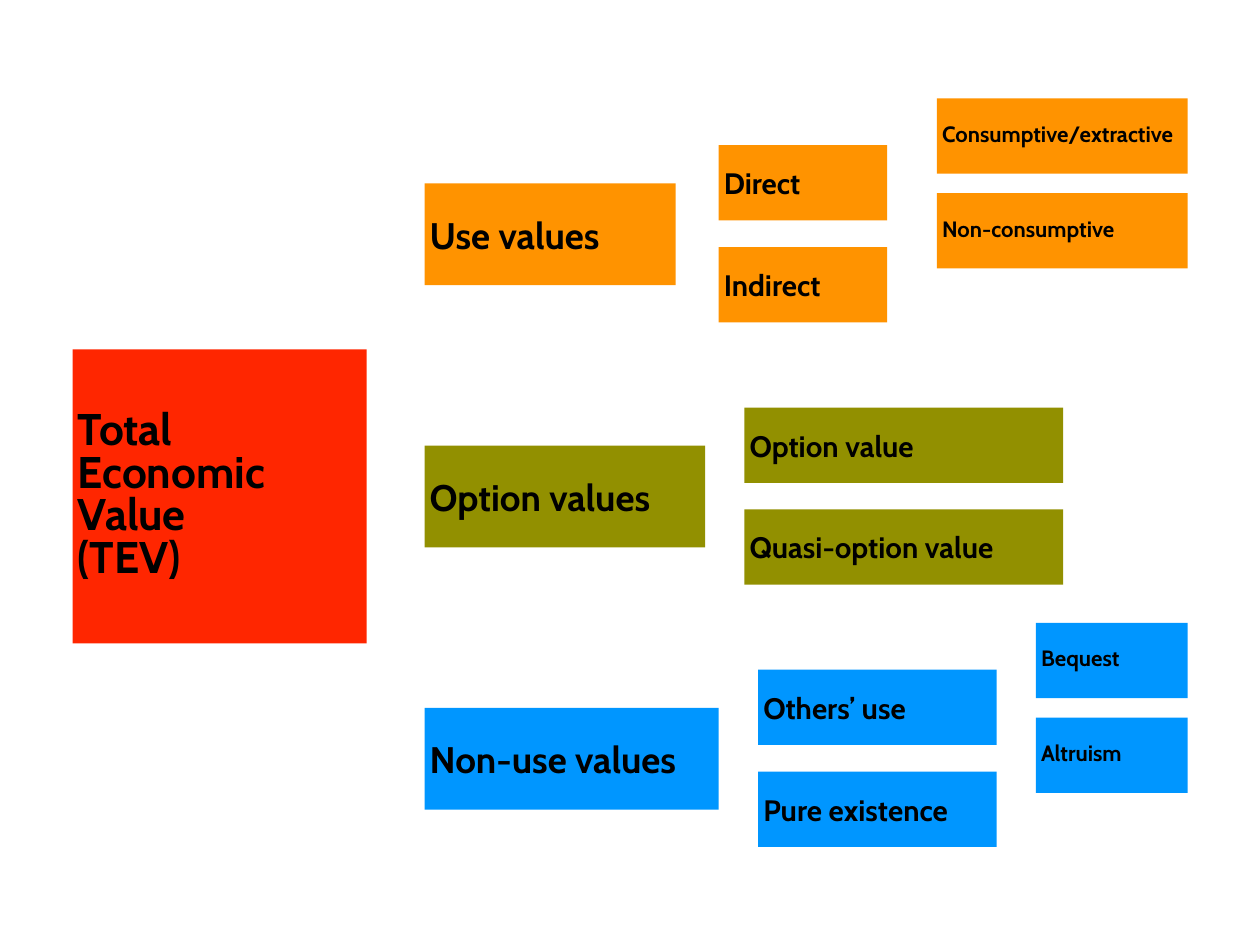
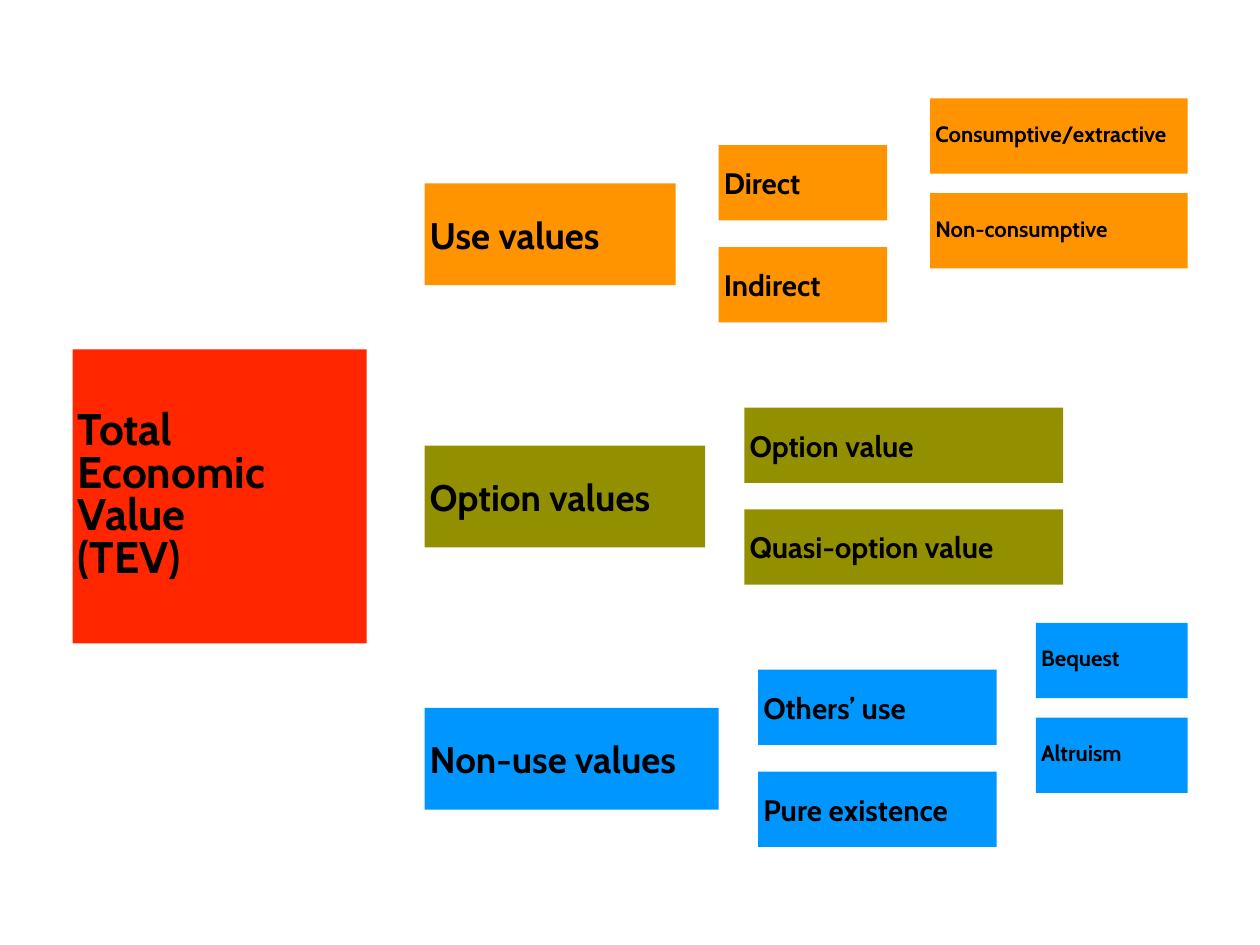
import pptx
import pptx.util
import pptx.dml.color
import pptx.enum.shapes
import pptx.enum.text
import pptx.oxml.ns
import lxml.etree

Pt = pptx.util.Pt
RGBColor = pptx.dml.color.RGBColor

BLACK = RGBColor(0x00, 0x00, 0x00)
WHITE = RGBColor(0xFF, 0xFF, 0xFF)
TOTAL_RED = RGBColor(0xFF, 0x26, 0x00)
USE_ORANGE = RGBColor(0xFF, 0x93, 0x00)
OPTION_OLIVE = RGBColor(0x92, 0x90, 0x00)
NON_USE_BLUE = RGBColor(0x00, 0x96, 0xFF)


def write_text(frame, text, size, spacing=None, font="Cabin", color=BLACK):
    paragraph = frame.paragraphs[0]
    paragraph.text = text
    paragraph.alignment = pptx.enum.text.PP_ALIGN.LEFT
    if spacing:
        paragraph.line_spacing = spacing
    for run in paragraph.runs:
        run.font.name = font
        run.font.size = Pt(size)
        run.font.bold = True
        run.font.color.rgb = color


class ValueTree:
    INSET = 4.2
    LINE_WIDTH = 3
    # Height, pitch, text size and line spacing of each level
    CATEGORY = dict(height=82.8, pitch=213.1, size=30)
    KIND = dict(height=61.2, pitch=82.8, size=24)
    EXAMPLE = dict(height=61.2, pitch=77, size=18, spacing=0.8)

    def __init__(self, deck):
        self.deck = deck
        self.slide = None

    def new_slide(self):
        self.slide = self.deck.slides.add_slide(self.deck.slide_layouts[6])

    def box(self, label, left, top, width, height, fill, size, spacing=None):
        shape = self.slide.shapes.add_shape(
            pptx.enum.shapes.MSO_SHAPE.RECTANGLE, Pt(left), Pt(top), Pt(width), Pt(height))
        shape.shadow.inherit = False
        shape.fill.solid()
        shape.fill.fore_color.rgb = fill
        shape.line.fill.background()
        frame = shape.text_frame
        frame.word_wrap = True
        frame.vertical_anchor = pptx.enum.text.MSO_ANCHOR.MIDDLE
        frame.margin_left = frame.margin_right = Pt(self.INSET)
        frame.margin_top = frame.margin_bottom = Pt(self.INSET)
        write_text(frame, label, size, spacing)

    def line(self, x1, y1, x2, y2):
        connector = self.slide.shapes.add_connector(
            pptx.enum.shapes.MSO_CONNECTOR.STRAIGHT, Pt(x1), Pt(y1), Pt(x2), Pt(y2))
        connector.line.color.rgb = WHITE
        connector.line.width = Pt(self.LINE_WIDTH)
        properties = connector.element.find(pptx.oxml.ns.qn("p:spPr"))
        lxml.etree.SubElement(properties, pptx.oxml.ns.qn("a:effectLst"))

    def bracket(self, trunk, stem_y, branch_ys, reach):
        self.line(trunk, branch_ys[0], trunk, branch_ys[-1])
        self.line(trunk, stem_y, trunk - reach, stem_y)
        for y in branch_ys:
            self.line(trunk + reach, y, trunk, y)

    def branches(self, level, left, top, boxes, trunk, stem_y, branch_ys=None, reach=25.5):
        """Draw a bracket, then one box for each (label, width, fill)."""
        self.bracket(trunk, stem_y, branch_ys or (stem_y - 39.6, stem_y + 39.6), reach)
        style = {key: value for key, value in level.items() if key != "pitch"}
        for row, (label, width, fill) in enumerate(boxes):
            self.box(label, left, top + row * level["pitch"], width, fill=fill, **style)

    def pair(self, level, labels, left, top, width, fill, **joint):
        self.branches(level, left, top, [(label, width, fill) for label in labels], **joint)

    def draw(self, example_left, example_trunk, example_reach):
        self.new_slide()
        right_edge = 965.2
        # Non-use values
        self.pair(self.EXAMPLE, ("Bequest", "Altruism"), 841.9, 506.2, right_edge - 841.9,
                  NON_USE_BLUE, trunk=820.8, stem_y=576)
        self.pair(self.KIND, ("Others’ use", "Pure existence"), 616.1, 544.2, 193.8,
                  NON_USE_BLUE, trunk=599, stem_y=619.9)
        # Option values
        self.pair(self.KIND, ("Option value", "Quasi-option value"), 605, 331.2, 259,
                  OPTION_OLIVE, trunk=591, stem_y=403.9)
        # Use values
        self.pair(self.EXAMPLE, ("Consumptive/extractive", "Non-consumptive"),
                  example_left, 79.9, right_edge - example_left, USE_ORANGE,
                  trunk=example_trunk, stem_y=146.9, reach=example_reach)
        self.pair(self.KIND, ("Direct", "Indirect"), 584, 118, 137,
                  USE_ORANGE, trunk=571, stem_y=187.9)
        # Total value and its categories
        self.box("Total Economic Value\n(TEV)", 59, 284, 239, 239, TOTAL_RED, 36, 0.8)
        self.branches(
            self.CATEGORY, 345, 149,
            [("Use values", 204, USE_ORANGE),
             ("Option values", 228, OPTION_OLIVE),
             ("Non-use values", 239, NON_USE_BLUE)],
            trunk=324, stem_y=403.9, branch_ys=(188.6, 403.9, 616.5), reach=25)


def main():
    deck = pptx.Presentation()
    deck.slide_width, deck.slide_height = Pt(1024), Pt(768)
    tree = ValueTree(deck)
    tree.draw(example_left=761.5, example_trunk=742.2, example_reach=28.8)
    tree.draw(example_left=756, example_trunk=739, example_reach=25.5)
    deck.save("out.pptx")


if __name__ == "__main__":
    main()
